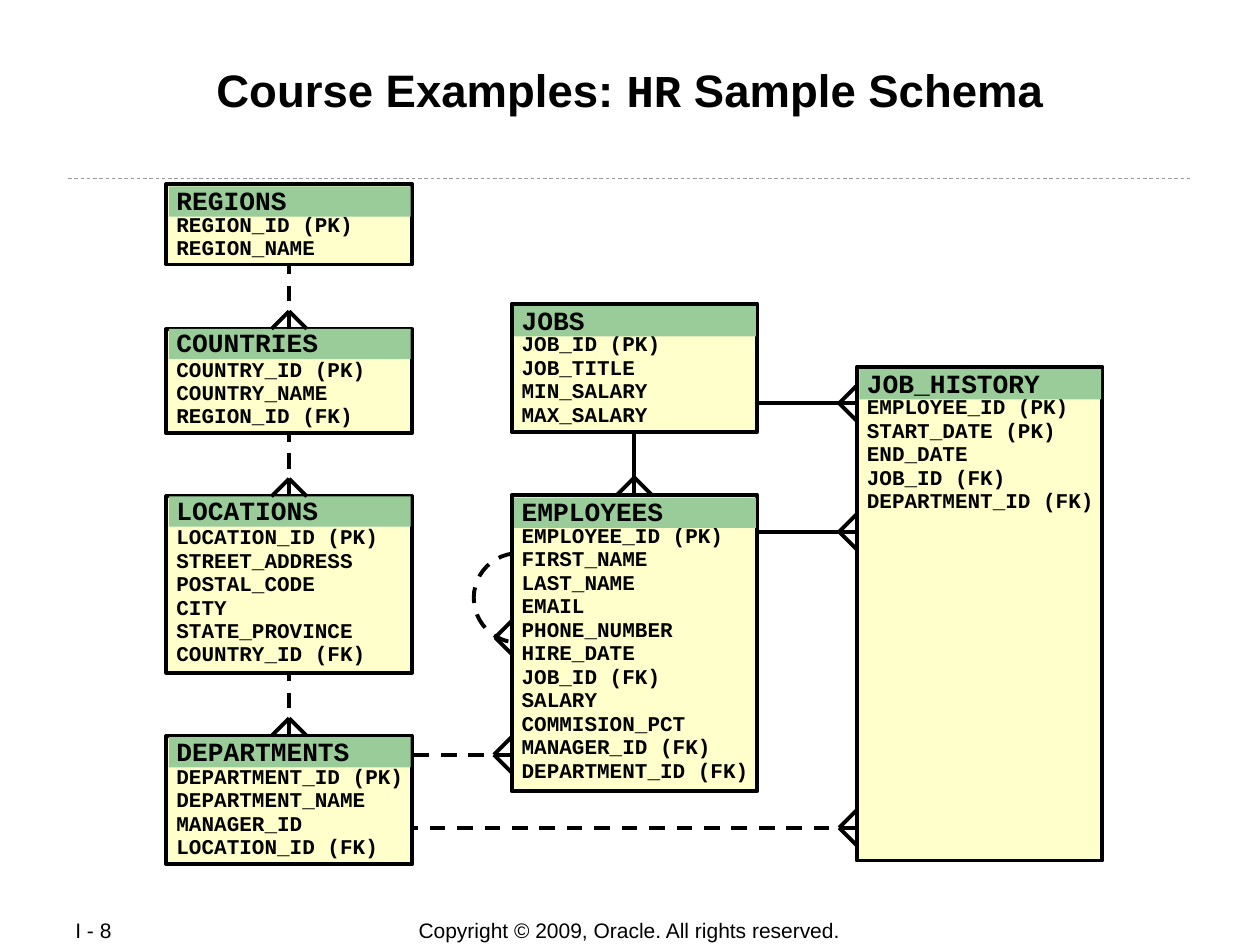
from lxml import etree
from pptx import Presentation
from pptx.dml.color import RGBColor
from pptx.enum.dml import MSO_LINE
from pptx.enum.shapes import MSO_CONNECTOR, MSO_SHAPE
from pptx.enum.text import MSO_ANCHOR, MSO_AUTO_SIZE, PP_ALIGN
from pptx.oxml.ns import qn
from pptx.util import Inches, Pt

RECT, OVAL, STRAIGHT = MSO_SHAPE.RECTANGLE, MSO_SHAPE.OVAL, MSO_CONNECTOR.STRAIGHT
TOP, MIDDLE = MSO_ANCHOR.TOP, MSO_ANCHOR.MIDDLE
LEFT, CENTER = PP_ALIGN.LEFT, PP_ALIGN.CENTER
DASH = MSO_LINE.DASH

BLACK = RGBColor(0x00, 0x00, 0x00)
GREY = RGBColor(0x99, 0x99, 0x99)
CREAM = RGBColor(0xFF, 0xFF, 0xCC)
GREEN = RGBColor(0x99, 0xCC, 0x99)
SANS, MONO = "Arial", "Courier New"

# Schema grid, in inches
COL_LEFT, COL_STEP, TABLE_W = 1.32, 2.74, 1.95
HEADER_H, HEADER_DX, BODY_TOP = 0.24, 0.02, 0.23
TOE = 0.14
ROW_PITCH = Pt(13.4)

# Name: (column, top, height, header drop, fields)
TABLES = {
    "REGIONS": (0, 1.46, 0.64, 0.02, ["REGION_ID (PK)", "REGION_NAME"]),
    "COUNTRIES": (0, 2.61, 0.83, 0, [
        "COUNTRY_ID (PK)", "COUNTRY_NAME", "REGION_ID (FK)"]),
    "LOCATIONS": (0, 3.94, 1.4, 0, [
        "LOCATION_ID (PK)", "STREET_ADDRESS", "POSTAL_CODE", "CITY",
        "STATE_PROVINCE", "COUNTRY_ID (FK)"]),
    "DEPARTMENTS": (0, 5.84, 1.02, 0.01, [
        "DEPARTMENT_ID (PK)", "DEPARTMENT_NAME", "MANAGER_ID",
        "LOCATION_ID (FK)"]),
    "JOBS": (1, 2.41, 1.02, 0.02, [
        "JOB_ID (PK)", "JOB_TITLE", "MIN_SALARY", "MAX_SALARY"]),
    "EMPLOYEES": (1, 3.93, 2.35, 0.02, [
        "EMPLOYEE_ID (PK)", "FIRST_NAME", "LAST_NAME", "EMAIL",
        "PHONE_NUMBER", "HIRE_DATE", "JOB_ID (FK)", "SALARY",
        "COMMISION_PCT", "MANAGER_ID (FK)", "DEPARTMENT_ID (FK)"]),
    "JOB_HISTORY": (2, 2.91, 3.92, 0.02, [
        "EMPLOYEE_ID (PK)", "START_DATE (PK)", "END_DATE", "JOB_ID (FK)",
        "DEPARTMENT_ID (FK)"]),
}
# Parent above child: (parent, child, dash)
VERTICAL = [("REGIONS", "COUNTRIES", DASH), ("COUNTRIES", "LOCATIONS", DASH),
            ("LOCATIONS", "DEPARTMENTS", DASH), ("JOBS", "EMPLOYEES", None)]
# Parent left of child: (parent column, child column, height, dash)
HORIZONTAL = [(0, 1, 5.99, DASH), (0, 2, 6.57, DASH),
              (1, 2, 4.22, None), (1, 2, 3.2, None)]


def column(i):
    return COL_LEFT + i * COL_STEP


def set_format(obj, **values):
    for name, value in values.items():
        setattr(obj, name, value)


def set_font(r, face, size, bold=False):
    set_format(r.font, name=face, size=Pt(size), bold=bold)
    r.font.color.rgb = BLACK


def set_frame(tf, anchor, left, top, right, bottom):
    set_format(tf, word_wrap=True, auto_size=MSO_AUTO_SIZE.NONE,
               vertical_anchor=anchor, margin_left=Inches(left),
               margin_top=Inches(top), margin_right=Inches(right),
               margin_bottom=Inches(bottom))


def add_line(shapes, x1, y1, x2, y2, dash=None, color=BLACK, width=2.25):
    line = shapes.add_connector(STRAIGHT, *map(Inches, (x1, y1, x2, y2)))
    line.line.color.rgb = color
    line.line.width = Pt(width)
    if dash:
        line.line.dash_style = dash
    etree.SubElement(line._element.spPr, qn("a:effectLst"))
    return line


def add_box(shapes, box, fill):
    sp = shapes.add_shape(RECT, *map(Inches, box))
    sp.shadow.inherit = False
    sp.fill.solid()
    sp.fill.fore_color.rgb = fill
    return sp


def add_crow_foot(shapes, x, y, upward=False):
    """Two toes that spread from a tip to the table side at (x, y)."""
    for side in (-TOE, TOE):
        if upward:
            add_line(shapes, x + side, y, x, y - TOE)
        else:
            add_line(shapes, x, y + side, x - TOE, y)


def add_self_link(shapes, x, y, size):
    """Dashed loop from EMPLOYEES back to itself."""
    sp = shapes.add_shape(OVAL, *map(Inches, (x, y, size, size)))
    sp.shadow.inherit = False
    sp.fill.background()
    sp.line.color.rgb = BLACK
    set_format(sp.line, width=Pt(2.25), dash_style=DASH)
    sp.rotation = 247.9
    add_crow_foot(shapes, 4.07, 5.06)


def add_horizontal_link(shapes, parent, child, y, dash):
    x = column(child)
    add_line(shapes, x, y, column(parent) + TABLE_W, y, dash)
    add_crow_foot(shapes, x, y)


def add_vertical_link(shapes, parent, child, dash):
    line = add_line(shapes, 0, 0, 1, 1, dash)
    line.begin_connect(child, 0)
    line.end_connect(parent, 2)
    add_crow_foot(shapes, line.begin_x.inches, line.begin_y.inches, upward=True)


def add_entity(shapes, name, box, drop, fields):
    x, y, w, h = box
    body = add_box(shapes, box, CREAM)
    body.line.color.rgb = BLACK
    body.line.width = Pt(2.25)
    tf = body.text_frame
    set_frame(tf, TOP, 0.08, BODY_TOP, 0.01, 0.01)
    for i, field in enumerate(fields):
        p = tf.paragraphs[0] if i == 0 else tf.add_paragraph()
        set_format(p, alignment=LEFT, line_spacing=ROW_PITCH)
        r = p.add_run()
        r.text = field
        set_font(r, MONO, 12, True)

    # Header band
    band = add_box(shapes, (x + HEADER_DX, y + drop, w - 1.5 * HEADER_DX, HEADER_H), GREEN)
    band.line.fill.background()
    set_frame(band.text_frame, TOP, 0.06, 0, 0, 0)
    p = band.text_frame.paragraphs[0]
    set_format(p, alignment=LEFT, line_spacing=0.95)
    r = p.add_run()
    r.text = name
    set_font(r, MONO, 15, True)
    return body


def add_schema(shapes):
    add_self_link(shapes, 3.76, 4.39, 0.71)
    for link in HORIZONTAL:
        add_horizontal_link(shapes, *link)
    # Solid end of the DEPARTMENTS to EMPLOYEES link
    add_line(shapes, 3.98, 5.99, column(1), 5.99)
    entities = {}
    for name, (col, top, height, drop, fields) in TABLES.items():
        box = (column(col), top, TABLE_W, height)
        entities[name] = add_entity(shapes, name, box, drop, fields)
    for parent, child, dash in VERTICAL:
        add_vertical_link(shapes, entities[parent], entities[child], dash)


def add_title(title, x, y, w, h):
    set_format(title, left=Inches(x), top=Inches(y), width=Inches(w), height=Inches(h))
    set_frame(title.text_frame, TOP, 0.01, 0.01, 0.01, 0.01)
    p = title.text_frame.paragraphs[0]
    p.alignment = CENTER
    for text, face in (("Course Examples: ", SANS), ("HR", MONO), (" Sample Schema", SANS)):
        r = p.add_run()
        r.text = text
        set_font(r, face, 26, True)


def add_footer(shapes, text, box, align):
    tf = shapes.add_textbox(*map(Inches, box)).text_frame
    set_frame(tf, MIDDLE, 0.1, 0.05, 0.1, 0.05)
    p = tf.paragraphs[0]
    p.alignment = align
    r = p.add_run()
    r.text = text
    set_font(r, SANS, 12)


def main():
    prs = Presentation()
    set_format(prs, slide_width=Inches(10), slide_height=Inches(7.5))
    s = prs.slides.add_slide(prs.slide_layouts[5])
    add_footer(s.shapes, "Copyright © 2009, Oracle. All rights reserved.",
               (2.75, 7.28, 4.49, 0.21), CENTER)
    add_footer(s.shapes, "I - 8", (0.5, 7.28, 1.06, 0.2), LEFT)
    add_line(s.shapes, 0.54, 1.42, 9.46, 1.42, DASH, GREY, 0.5)
    add_title(s.shapes.title, 0.67, 0.48, 8.66, 0.96)
    add_schema(s.shapes)
    prs.save("out.pptx")


if __name__ == "__main__":
    main()
